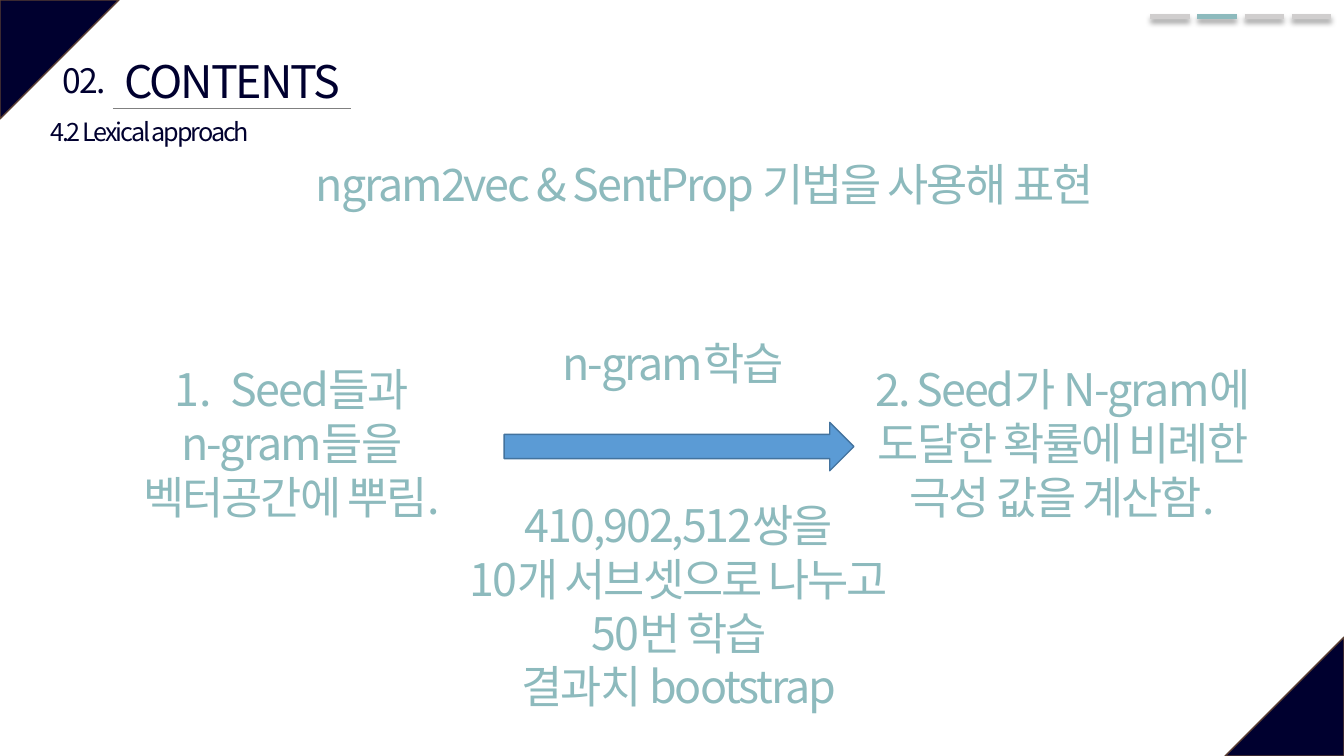
from dataclasses import dataclass

from lxml import etree
from pptx import Presentation
from pptx.dml.color import RGBColor
from pptx.enum import shapes, text
from pptx.oxml import ns
from pptx.util import Inches, Pt


@dataclass(frozen=True)
class Theme:
    font: str = "Noto Sans CJK KR"
    navy: str = "00002F"
    brown: str = "5B3F33"
    teal: str = "8DBABD"
    silver: str = "D0CECE"
    gray: str = "808080"
    blue: str = "5B9BD5"
    dark_blue: str = "43739E"
    shadow: str = "000000"
    large: int = 32
    medium: int = 24
    small: int = 18
    tracking: int = -150


THEME = Theme()


def add_child(parent, tag, **attributes):
    child = etree.SubElement(parent, ns.qn(tag))
    for name, value in attributes.items():
        child.set(name, str(value))
    return child


def add_filled_shape(slide, kind, box, fill, line):
    shape = slide.shapes.add_shape(kind, *map(Inches, box))
    shape.shadow.inherit = False
    shape.fill.solid()
    shape.fill.fore_color.rgb = RGBColor.from_string(fill)
    shape.line.color.rgb = RGBColor.from_string(line)
    shape.line.width = Pt(1)
    return shape


def add_corner(slide, left, top, rotation):
    corner = add_filled_shape(slide, shapes.MSO_SHAPE.ISOSCELES_TRIANGLE,
                              (left, top, 1.18, 1.18), THEME.navy, THEME.brown)
    corner.adjustments[0] = 0
    corner.rotation = rotation


def add_rule(slide, left, right, y, color, width, shadowed=False):
    rule = slide.shapes.add_connector(shapes.MSO_CONNECTOR.STRAIGHT,
                                      Inches(left), Inches(y), Inches(right), Inches(y))
    rule.line.color.rgb = RGBColor.from_string(color)
    rule.line.width = Pt(width)
    effects = add_child(rule._element.spPr, "a:effectLst")
    if shadowed:
        shadow = add_child(effects, "a:outerShdw", blurRad=Pt(4), dist=Pt(3),
                           dir=90 * 60000, algn="t", rotWithShape=0)
        shadow_color = add_child(shadow, "a:srgbClr", val=THEME.shadow)
        add_child(shadow_color, "a:alpha", val=40000)


def add_progress(slide, current, count):
    for index in range(count):
        left = 11.41 + index * 0.467
        color = THEME.teal if index == current else THEME.silver
        add_rule(slide, left, left + 0.39, 0.16, color, 3.5, shadowed=True)


def add_text(slide, box, lines, size, color, wrap=False):
    frame = slide.shapes.add_textbox(*map(Inches, box)).text_frame
    frame.word_wrap = wrap
    frame.auto_size = text.MSO_AUTO_SIZE.SHAPE_TO_FIT_TEXT
    frame.text = "\n".join(lines)
    for paragraph in frame.paragraphs:
        paragraph.alignment = text.PP_ALIGN.CENTER
        for run in paragraph.runs:
            run.font.name = THEME.font
            run.font.size = Pt(size)
            run.font.color.rgb = RGBColor.from_string(color)
            properties = run._r.get_or_add_rPr()
            properties.set("spc", str(THEME.tracking))
            add_child(properties, "a:ea", typeface=THEME.font)
    return frame


def number_paragraph(paragraph):
    properties = paragraph._p.get_or_add_pPr()
    properties.set("marL", str(Inches(0.56)))
    properties.set("indent", str(Inches(-0.56)))
    add_child(properties, "a:buAutoNum", type="arabicPeriod")


def add_heading(slide):
    add_rule(slide, 1.12, 3.48, 1.08, THEME.gray, 0.5)
    add_text(slide, (1.12, 0.48, 2.37, 0.64), ["CONTENTS"], THEME.large, THEME.navy)
    add_text(slide, (0.5, 0.55, 0.67, 0.5), ["02."], THEME.medium, THEME.navy)
    add_text(slide, (0.25, 1.1, 2.47, 1.01), ["4.2 Lexical approach"],
             THEME.small, THEME.navy)


def add_body(slide, box, lines, wrap=False):
    return add_text(slide, box, lines, THEME.large, THEME.teal, wrap)


def main():
    presentation = Presentation()
    presentation.slide_width = Inches(13.33)
    presentation.slide_height = Inches(7.5)
    slide = presentation.slides.add_slide(presentation.slide_layouts[6])

    add_corner(slide, 0, 0, 90)
    add_corner(slide, 12.15, 6.32, 270)
    add_progress(slide, current=1, count=4)
    add_heading(slide)

    add_body(slide, (1.85, 1.51, 10.28, 2.26),
             ["ngram2vec & SentProp 기법을 사용해 표현"], wrap=True)
    seeds = add_body(slide, (0.83, 3.54, 4.13, 1.72),
                     ["Seed들과", "n-gram들을", "벡터공간에 뿌림."], wrap=True)
    number_paragraph(seeds.paragraphs[0])
    add_body(slide, (8.47, 3.54, 4.13, 2.26),
             ["2. Seed가 N-gram에 도달한 확률에 비례한 극성 값을 계산함."], wrap=True)
    add_body(slide, (5.38, 3.28, 2.59, 1.18), ["n-gram학습"])
    add_filled_shape(slide, shapes.MSO_SHAPE.RIGHT_ARROW, (5, 4.19, 3.47, 0.48),
                     THEME.blue, THEME.dark_blue)
    add_body(slide, (4.31, 4.89, 4.85, 2.26),
             ["410,902,512쌍을", "10개 서브셋으로 나누고", "50번 학습", "결과치 bootstrap"])

    presentation.save("out.pptx")


if __name__ == "__main__":
    main()
